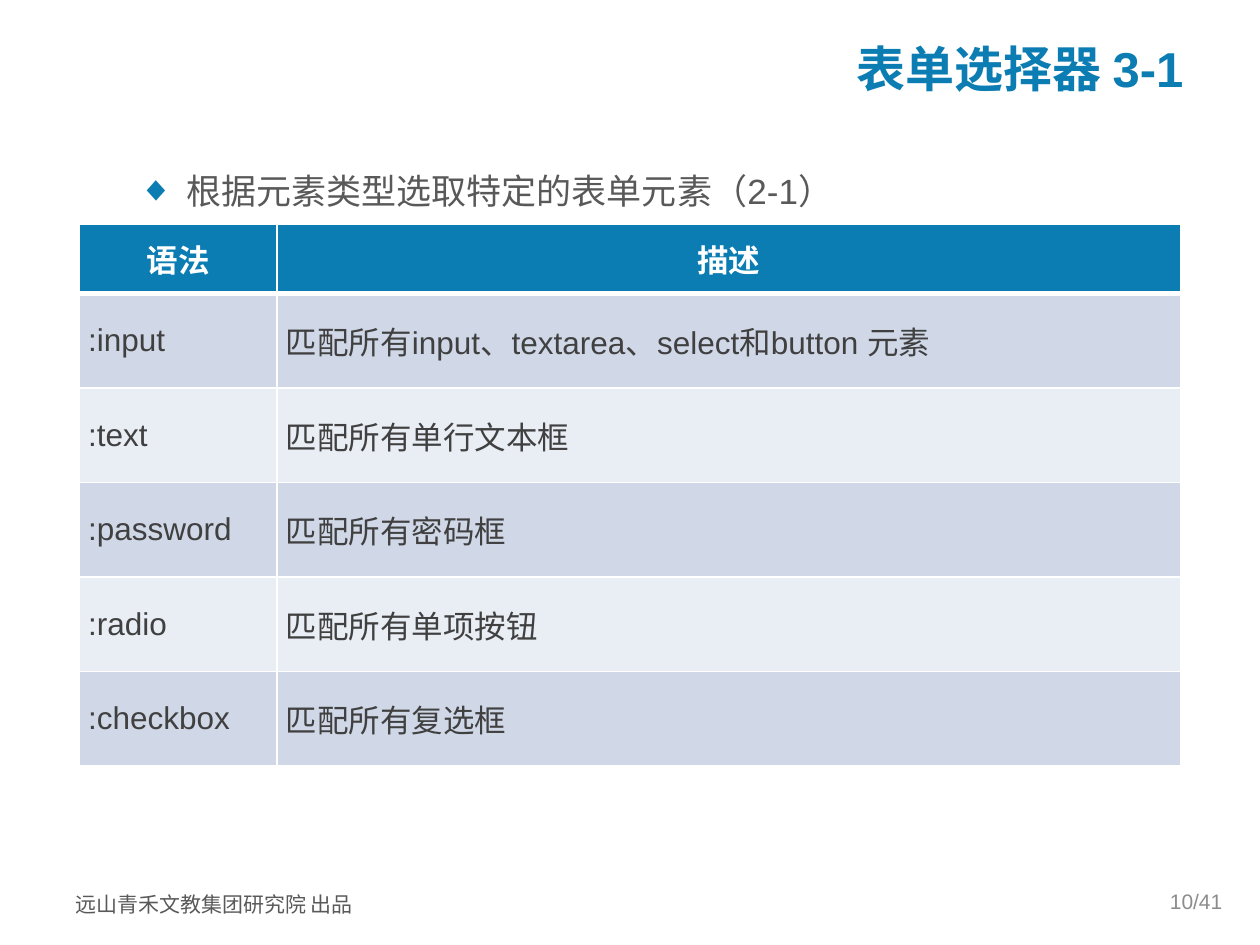
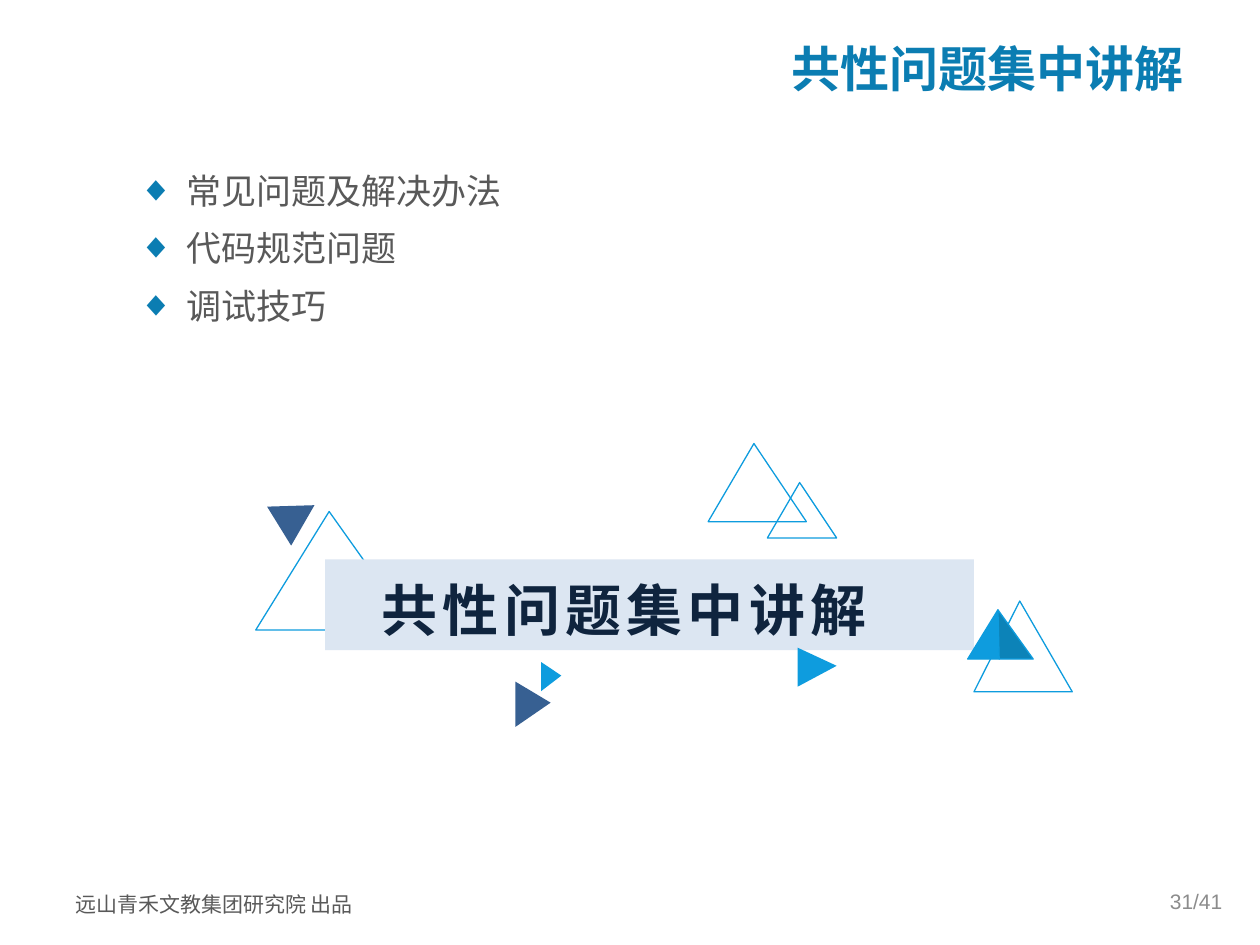
from lxml.etree import SubElement
from pptx import Presentation
from pptx.dml.color import RGBColor
from pptx.enum.shapes import MSO_SHAPE
from pptx.enum.text import MSO_ANCHOR, PP_ALIGN
from pptx.oxml import parse_xml
from pptx.oxml.ns import nsdecls, qn
from pptx.util import Inches, Pt

COLORS = {
    "accent": "0B7DB2", "bright": "0E9CDE", "shade": "0C83B8", "slate": "376092",
    "band": "DCE6F2", "navy": "0F243E", "body": "595959", "cell": "404040",
    "page": "8C8C8C", "white": "FFFFFF", "odd": "D0D8E8", "even": "E9EDF4",
}
LATIN, CJK = "Arial", "Noto Sans CJK SC"


def rgb(name):
    return RGBColor.from_string(COLORS[name])


class Deck:
    """Holds the shared style and the current slide."""

    def __init__(self):
        self.prs = Presentation()
        self.prs.slide_width, self.prs.slide_height = Inches(10), Inches(7.5)

    def slide(self, title, bullets, page):
        self.s = self.prs.slides.add_slide(self.prs.slide_layouts[6])
        self.shapes = self.s.shapes
        self.s.background.fill.solid()
        self.s.background.fill.fore_color.rgb = rgb("white")
        footer = self.text((0.5, 6.99, 2.53, 0.34), "远山青禾文教集团研究院 出品",
                           12, "body", font=CJK, anchor=MSO_ANCHOR.TOP)
        footer.line_spacing = 1.2
        self.text((1, 0.31, 8.49, 0.45), title, 28, "accent", PP_ALIGN.RIGHT, bold=True)
        self.bullets((1, 1.23, 8.49, 4.72), bullets)
        self.text((7.47, 6.95, 2.33, 0.4), page, 12, "page", PP_ALIGN.RIGHT)

    def group(self):
        self.shapes = self.s.shapes.add_group_shape().shapes

    def run(self, p, text, size, color, bold=False, font=LATIN):
        r = p.add_run()
        r.text = text
        r.font.size, r.font.bold, r.font.name = Pt(size), bold, font
        r.font.color.rgb = rgb(color)
        SubElement(r.font._element, qn("a:ea")).set("typeface", CJK)
        return r

    def space_before(self, p):
        p._p.get_or_add_pPr().append(parse_xml(
            f'<a:spcBef {nsdecls("a")}><a:spcPct val="20000"/></a:spcBef>'))

    def box(self, at, anchor):
        tf = self.s.shapes.add_textbox(*map(Inches, at)).text_frame
        tf.word_wrap, tf.vertical_anchor = True, anchor
        return tf

    def text(self, at, text, size, color, align=PP_ALIGN.LEFT, bold=False,
             font=LATIN, anchor=MSO_ANCHOR.MIDDLE):
        p = self.box(at, anchor).paragraphs[0]
        p.alignment = align
        self.run(p, text, size, color, bold, font)
        return p

    def bullets(self, at, items):
        tf = self.box(at, MSO_ANCHOR.TOP)
        for i, item in enumerate(items):
            p = tf.add_paragraph() if i else tf.paragraphs[0]
            p.line_spacing = 1.2
            self.space_before(p)
            pPr = p._p.get_or_add_pPr()
            pPr.set("marL", str(Inches(0.38)))
            pPr.set("indent", str(-Inches(0.38)))
            color = SubElement(pPr, qn("a:buClr"))
            SubElement(color, qn("a:srgbClr")).set("val", COLORS["accent"])
            SubElement(pPr, qn("a:buFont")).set("typeface", LATIN)
            SubElement(pPr, qn("a:buChar")).set("char", "◆")
            self.run(p, item, 20, "body")

    def borders(self, cell, top, bottom):
        tcPr = cell._tc.get_or_add_tcPr()
        sides = (("L", 1), ("R", 1), ("T", top), ("B", bottom))
        for i, (side, width) in enumerate(sides):
            tcPr.insert(i, parse_xml(
                f'<a:ln{side} {nsdecls("a")} w="{Pt(width)}"><a:solidFill>'
                f'<a:srgbClr val="{COLORS["white"]}"/></a:solidFill></a:ln{side}>'))

    def table(self, at, cols, heights, rows):
        t = self.s.shapes.add_table(len(rows), len(cols), *map(Inches, at)).table
        for col, width in zip(t.columns, cols):
            col.width = Inches(width)
        for i, row in enumerate(rows):
            t.rows[i].height = Inches(heights[i])
            head = i == 0
            fill = "accent" if head else "odd" if i % 2 else "even"
            for j, text in enumerate(row):
                cell = t.cell(i, j)
                cell.fill.solid()
                cell.fill.fore_color.rgb = rgb(fill)
                cell.vertical_anchor = MSO_ANCHOR.MIDDLE
                cell.margin_left = cell.margin_right = Inches(0.07)
                cell.margin_top = cell.margin_bottom = 0
                self.borders(cell, 3 if i == 1 else 1, 3 if head else 1)
                p = cell.text_frame.paragraphs[0]
                p.alignment = PP_ALIGN.CENTER if head else PP_ALIGN.JUSTIFY
                if head:
                    self.space_before(p)
                self.run(p, text, 18, "white" if head else "cell", head)

    def paint(self, sp, fill=None, line=None):
        sp.shadow.inherit = False
        if fill:
            sp.fill.solid()
            sp.fill.fore_color.rgb = rgb(fill)
        else:
            sp.fill.background()
        if line:
            sp.line.color.rgb, sp.line.width = rgb(line), Pt(0.75)
        else:
            sp.line.fill.background()

    def triangle(self, at, fill=None, rotation=0):
        sp = self.shapes.add_shape(MSO_SHAPE.ISOSCELES_TRIANGLE, *map(Inches, at))
        sp.adjustments[0], sp.rotation = 0.466, rotation
        self.paint(sp, fill, None if fill else "bright")

    def facet(self, points, fill):
        start, *rest = [(Inches(x), Inches(y)) for x, y in points]
        fb = self.shapes.build_freeform(*start)
        fb.add_line_segments(rest, close=True)
        self.paint(fb.convert_to_shape(), fill, "bright")

    def band(self, at, text):
        sp = self.shapes.add_shape(MSO_SHAPE.RECTANGLE, *map(Inches, at))
        self.paint(sp, "band")
        tf = sp.text_frame
        tf.word_wrap, tf.vertical_anchor = True, MSO_ANCHOR.TOP
        tf.margin_left, tf.margin_right = Inches(0.1), Inches(0.5)
        tf.margin_top, tf.margin_bottom = Inches(0.13), Inches(0.05)
        p = tf.paragraphs[0]
        p.alignment = PP_ALIGN.CENTER
        r = self.run(p, text, 32, "navy", True, CJK)
        r.font._element.set("spc", "300")


deck = Deck()

deck.slide("表单选择器 3-1", ["根据元素类型选取特定的表单元素（2-1）"], "10/41")
deck.table((0.63, 1.78, 8.74, 4.3), (1.57, 7.17), [0.55] + [0.75] * 5, [
    ("语法", "描述"),
    (":input", "匹配所有input、textarea、select和button 元素"),
    (":text", "匹配所有单行文本框"),
    (":password", "匹配所有密码框"),
    (":radio", "匹配所有单项按钮"),
    (":checkbox", "匹配所有复选框"),
])

topic = "共性问题集中讲解"
deck.slide(topic, ["常见问题及解决办法", "代码规范问题", "调试技巧"], "31/41")
deck.group()
deck.triangle((2.03, 4.06, 1.25, 0.94))
deck.triangle((7.73, 4.77, 0.78, 0.72))
deck.triangle((4.26, 5.29, 0.23, 0.16), "bright", 90)
deck.triangle((2.08, 3.93, 0.37, 0.32), "slate", 300)
deck.band((2.58, 4.44, 5.15, 0.72), topic)
deck.triangle((6.09, 3.83, 0.55, 0.44))
deck.triangle((5.62, 3.52, 0.78, 0.62))
deck.triangle((4.05, 5.45, 0.36, 0.28), "slate", 90)
deck.triangle((6.33, 5.14, 0.31, 0.31), "bright", 90)
apex, foot = (7.92, 4.84), (7.93, 5.23)
deck.facet([(7.68, 5.23), apex, foot], "bright")
deck.facet([(8.2, 5.23), apex, foot], "shade")

deck.prs.save("out.pptx")
